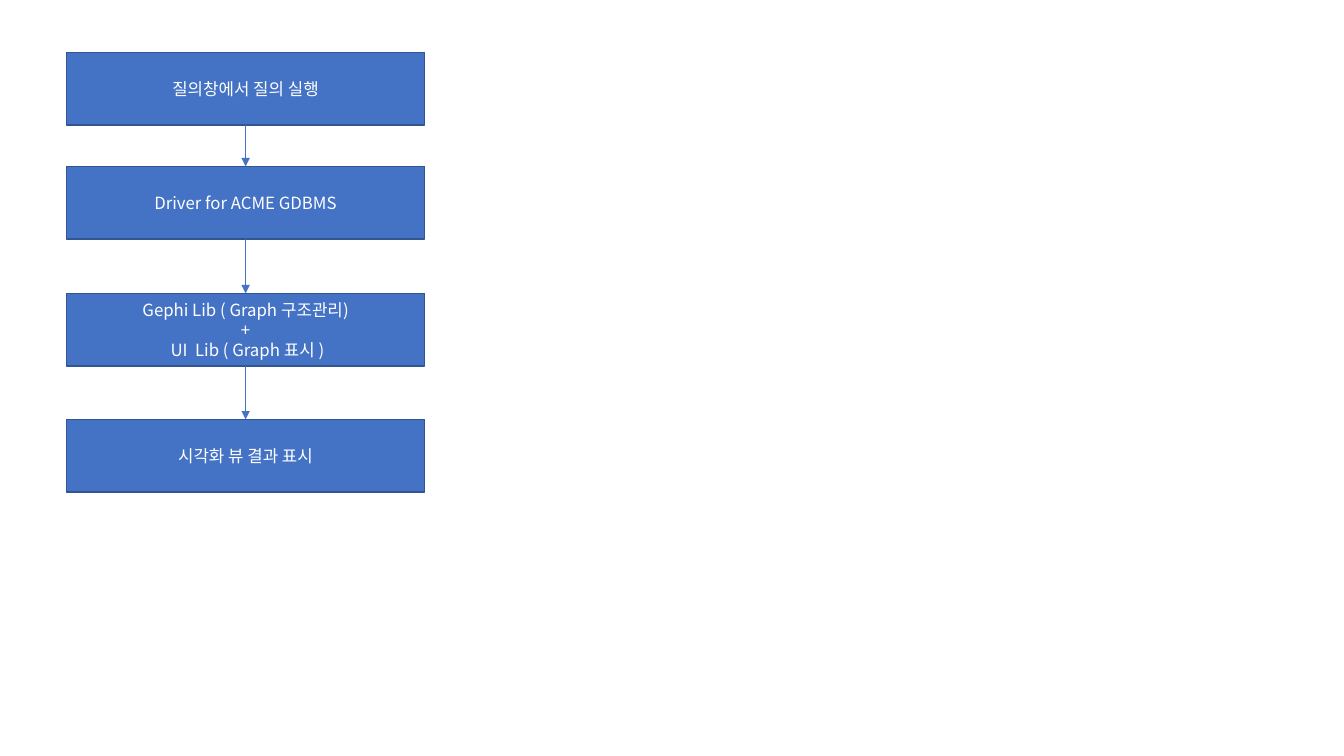
"""Build a slide with a four-step query flow."""
from itertools import pairwise

from lxml.etree import SubElement
from pptx import Presentation
from pptx.dml.color import RGBColor
from pptx.enum.shapes import MSO_CONNECTOR, MSO_SHAPE
from pptx.enum.text import MSO_ANCHOR, PP_ALIGN
from pptx.oxml.ns import qn
from pptx.util import Cm, Pt

BLUE = RGBColor(0x44, 0x72, 0xC4)
NAVY = RGBColor(0x32, 0x54, 0x91)
WHITE = RGBColor(0xFF, 0xFF, 0xFF)
FACE = "Noto Sans CJK KR"
FONT = {"name": FACE, "size": Pt(12)}
LEFT, WIDTH, HEIGHT = Cm(1.68), Cm(9.02), Cm(1.83)
STEPS = [
    (Cm(1.32), ["질의창에서 질의 실행"]),
    (Cm(4.19), ["Driver for ACME GDBMS"]),
    (Cm(7.39), ["Gephi Lib ( Graph 구조관리)", "+", " UI  Lib ( Graph 표시 )"]),
    (Cm(10.57), ["시각화 뷰 결과 표시"]),
]


def add_line(frame, index, text):
    para = frame.paragraphs[0] if index == 0 else frame.add_paragraph()
    para.alignment = PP_ALIGN.CENTER
    run = para.add_run()
    run.text = text
    for key, value in FONT.items():
        setattr(run.font, key, value)
    run.font.color.rgb = WHITE
    SubElement(run.font._element, qn("a:ea"), typeface=FACE)
    return para


def add_step(slide, top, lines):
    box = slide.shapes.add_shape(MSO_SHAPE.RECTANGLE, LEFT, top, WIDTH, HEIGHT)
    box.shadow.inherit = False
    box.fill.solid()
    box.fill.fore_color.rgb = BLUE
    box.line.color.rgb = NAVY
    box.line.width = Pt(1)
    frame = box.text_frame
    frame.word_wrap = True
    frame.vertical_anchor = MSO_ANCHOR.MIDDLE
    for index, text in enumerate(lines):
        para = add_line(frame, index, text)
        if len(lines) > 1:
            para.line_spacing = Pt(14.5)
    return box


def add_arrow(slide, start, end):
    arrow = slide.shapes.add_connector(MSO_CONNECTOR.STRAIGHT, 0, 0, 0, 0)
    arrow.begin_connect(start, 2)
    arrow.end_connect(end, 0)
    arrow.line.color.rgb = BLUE
    arrow.line.width = Pt(0.5)
    SubElement(arrow.line._get_or_add_ln(), qn("a:tailEnd"), type="triangle")
    SubElement(arrow._element.spPr, qn("a:effectLst"))


def main():
    deck = Presentation()
    deck.slide_width, deck.slide_height = Cm(33.87), Cm(19.05)
    slide = deck.slides.add_slide(deck.slide_layouts[6])
    boxes = [add_step(slide, top, lines) for top, lines in STEPS]
    for start, end in pairwise(boxes):
        add_arrow(slide, start, end)
    deck.save("out.pptx")


if __name__ == "__main__":
    main()
